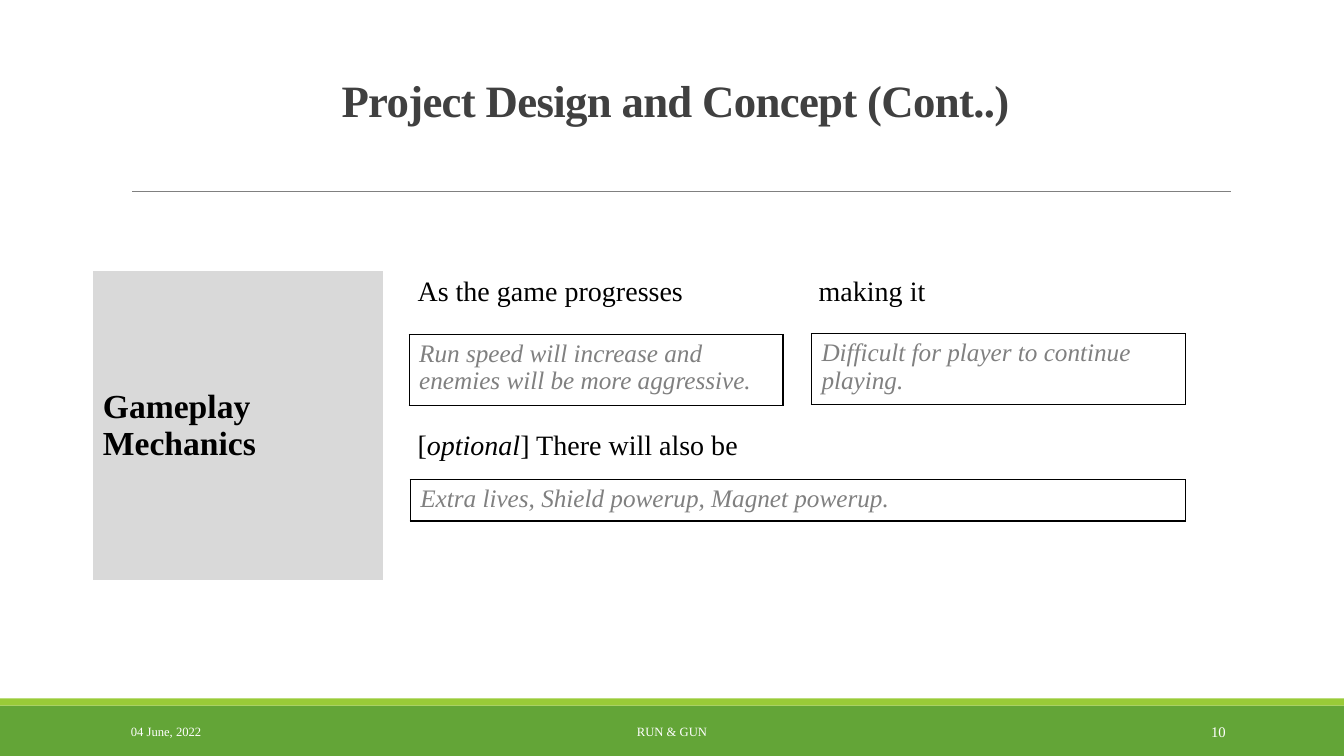
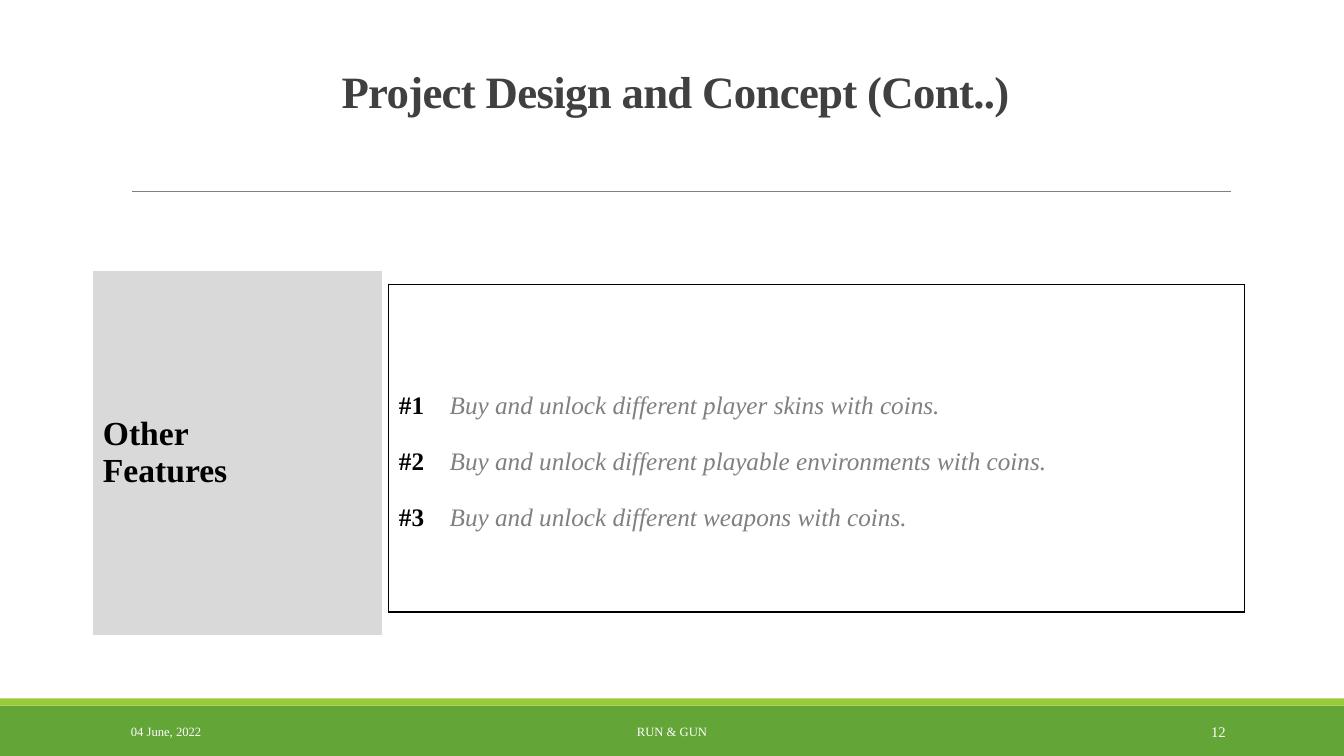
from lxml import etree
from pptx import Presentation
from pptx.dml.color import RGBColor
from pptx.enum.shapes import MSO_CONNECTOR, MSO_SHAPE
from pptx.enum.text import MSO_ANCHOR, PP_ALIGN
from pptx.oxml.ns import qn
from pptx.util import Cm, Pt

RECTANGLE = MSO_SHAPE.RECTANGLE
STRAIGHT = MSO_CONNECTOR.STRAIGHT
TOP, MIDDLE, BOTTOM = MSO_ANCHOR.TOP, MSO_ANCHOR.MIDDLE, MSO_ANCHOR.BOTTOM
LEFT, CENTER, RIGHT = PP_ALIGN.LEFT, PP_ALIGN.CENTER, PP_ALIGN.RIGHT

FONT = "Times New Roman"
PLAIN_TABLE = "{2D5ABB26-0587-4C30-8999-92F81FD0307C}"
SLIDE_WIDTH, SLIDE_HEIGHT = 33.87, 19.05
BLACK, WHITE, GRAY, DARK, PANEL = "000000", "FFFFFF", "808080", "404040", "D9D9D9"
BANDS = [(17.78, 1.27, "63A537"), (17.6, 0.18, "99CB38")]
RULE = (3.33, 31.01, 4.83)
TABLE_LEFT, TABLE_TOP = 2.34, 6.83
HANGING = 1.28

STYLES = {
    "title": (32, DARK, True, False),
    "heading": (24, BLACK, True, False),
    "lead": (20, BLACK, False, False),
    "lead italic": (20, BLACK, False, True),
    "detail": (18, GRAY, False, True),
    "number": (18, BLACK, True, False),
    "footer": (9, WHITE, False, False),
    "page": (10.5, WHITE, False, False),
}

TITLE = "Project Design and Concept (Cont..)"
FOOTERS = [
    ("04 June, 2022", 3.05, 6.86, LEFT),
    ("RUN & GUN", 10.24, 13.39, CENTER),
]
MECHANICS = ["Gameplay", "Mechanics"]
FEATURES = ["Other", "Features"]
LEADS = [
    (0, 2, [("As the game progresses", "lead")]),
    (0, 3, [("making it", "lead")]),
    (1, 2, [("[", "lead"), ("optional", "lead italic"), ("] There will also be", "lead")]),
]
DETAILS = [
    ("Run speed will increase and enemies will be more aggressive.", 10.31, 8.43, 9.42, 1.66),
    ("Difficult for player to continue playing.", 20.45, 8.41, 9.42, 1.78),
    ("Extra lives, Shield powerup, Magnet powerup.", 10.34, 12.09, 19.53, 1.04),
]
FEATURE_LIST = [
    "Buy and unlock different player skins with coins.",
    "Buy and unlock different playable environments with coins.",
    "Buy and unlock different weapons with coins.",
]


def color(value):
    return RGBColor.from_string(value)


def write(frame, lines, align=LEFT, spacing=None):
    frame.text = "\n".join("" for line in lines)
    for para, line in zip(frame.paragraphs, lines):
        para.alignment = align
        if spacing:
            para.line_spacing = spacing
        for text, style in line:
            span = para.add_run()
            span.text = text
            size, shade, bold, italic = STYLES[style]
            span.font.name = FONT
            span.font.size = Pt(size)
            span.font.color.rgb = color(shade)
            span.font.bold = bold
            span.font.italic = italic


def add_text(slide, text, style, left, top, width, height, align, anchor=MIDDLE, spacing=None):
    box = slide.shapes.add_textbox(Cm(left), Cm(top), Cm(width), Cm(height))
    frame = box.text_frame
    frame.word_wrap = True
    frame.vertical_anchor = anchor
    write(frame, [[(text, style)]], align, spacing)
    return frame


def add_table(slide, left, top, widths, heights):
    graphic = slide.shapes.add_table(
        len(heights), len(widths), Cm(left), Cm(top), Cm(sum(widths)), Cm(sum(heights))
    )
    table = graphic.table
    table.first_row = False
    table.horz_banding = False
    table._tbl.tblPr.find(qn("a:tableStyleId")).text = PLAIN_TABLE
    for column, width in zip(table.columns, widths):
        column.width = Cm(width)
    for row, height in zip(table.rows, heights):
        row.height = Cm(height)
    for cell in table.iter_cells():
        cell.fill.background()
    return table


def add_bordered_cell(slide, lines, left, top, width, height, anchor=TOP, spacing=None):
    cell = add_table(slide, left, top, [width], [height]).cell(0, 0)
    properties = cell._tc.get_or_add_tcPr()
    for index, side in enumerate(("a:lnL", "a:lnR", "a:lnT", "a:lnB")):
        line = etree.Element(qn(side), w=str(Pt(1)))
        fill = etree.SubElement(line, qn("a:solidFill"))
        etree.SubElement(fill, qn("a:srgbClr"), val=BLACK)
        properties.insert(index, line)
    cell.vertical_anchor = anchor
    write(cell.text_frame, lines, spacing=spacing)
    return cell


def fill_heading(cell, words):
    cell.fill.solid()
    cell.fill.fore_color.rgb = color(PANEL)
    cell.vertical_anchor = MIDDLE
    write(cell.text_frame, [[(word, "heading")] for word in words])


def add_page(deck, number, title_top):
    slide = deck.slides.add_slide(deck.slide_layouts[6])
    for top, height, shade in BANDS:
        band = slide.shapes.add_shape(RECTANGLE, 0, Cm(top), Cm(SLIDE_WIDTH), Cm(height))
        band.shadow.inherit = False
        band.fill.solid()
        band.fill.fore_color.rgb = color(shade)
        band.line.fill.background()
    start, end, level = RULE
    rule = slide.shapes.add_connector(STRAIGHT, Cm(start), Cm(level), Cm(end), Cm(level))
    rule.line.color.rgb = color(GRAY)
    rule.line.width = Pt(0.5)
    etree.SubElement(rule._element.spPr, qn("a:effectLst"))
    title = add_text(slide, TITLE, "title", 3.05, title_top, 27.94, 1.79, CENTER, BOTTOM, 0.85)
    title.paragraphs[0].runs[0].font._element.set("spc", "-50")
    for text, left, width, align in FOOTERS:
        add_text(slide, text, "footer", left, 17.93, width, 1.02, align)
    add_text(slide, str(number), "page", 27.51, 17.93, 3.63, 1.02, RIGHT)
    return slide


def add_mechanics(deck):
    slide = add_page(deck, 10, 1.54)
    table = add_table(slide, TABLE_LEFT, TABLE_TOP, [7.32, 0.58, 10.11, 11.23], [3.89, 3.89])
    table.cell(0, 0).merge(table.cell(1, 0))
    table.cell(1, 2).merge(table.cell(1, 3))
    fill_heading(table.cell(0, 0), MECHANICS)
    for row, column, line in LEADS:
        write(table.cell(row, column).text_frame, [line])
    for text, *place in DETAILS:
        add_bordered_cell(slide, [[(text, "detail")]], *place)


def add_features(deck):
    slide = add_page(deck, 12, 1.31)
    table = add_table(slide, TABLE_LEFT, TABLE_TOP, [7.29, 22.07], [9.17])
    fill_heading(table.cell(0, 0), FEATURES)
    lines = [
        [(f"#{number}\t", "number"), (text, "detail")]
        for number, text in enumerate(FEATURE_LIST, 1)
    ]
    cell = add_bordered_cell(slide, lines, 9.8, 7.16, 21.56, 8.26, MIDDLE, 2.0)
    for para in cell.text_frame.paragraphs:
        properties = para._p.get_or_add_pPr()
        properties.set("marL", str(Cm(HANGING)))
        properties.set("indent", str(-Cm(HANGING)))


def main():
    deck = Presentation()
    deck.slide_width, deck.slide_height = Cm(SLIDE_WIDTH), Cm(SLIDE_HEIGHT)
    add_mechanics(deck)
    add_features(deck)
    deck.save("out.pptx")


if __name__ == "__main__":
    main()
